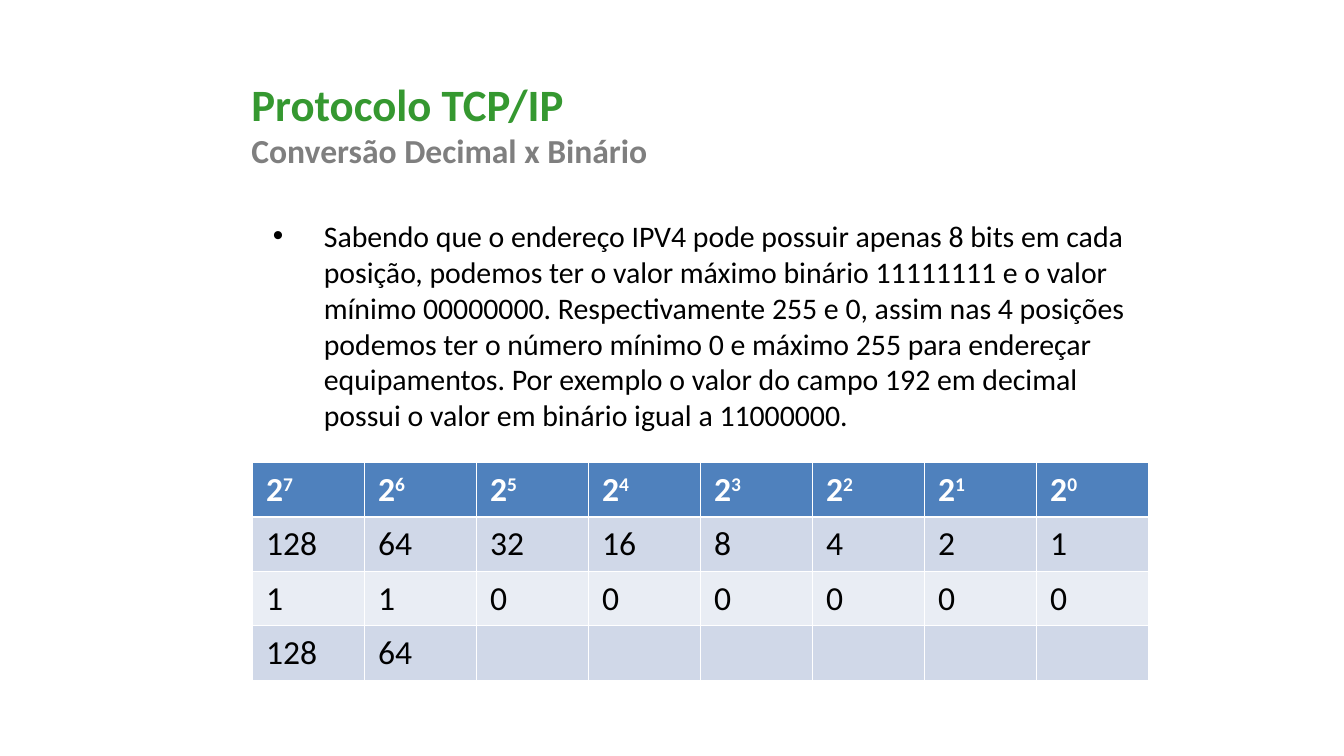
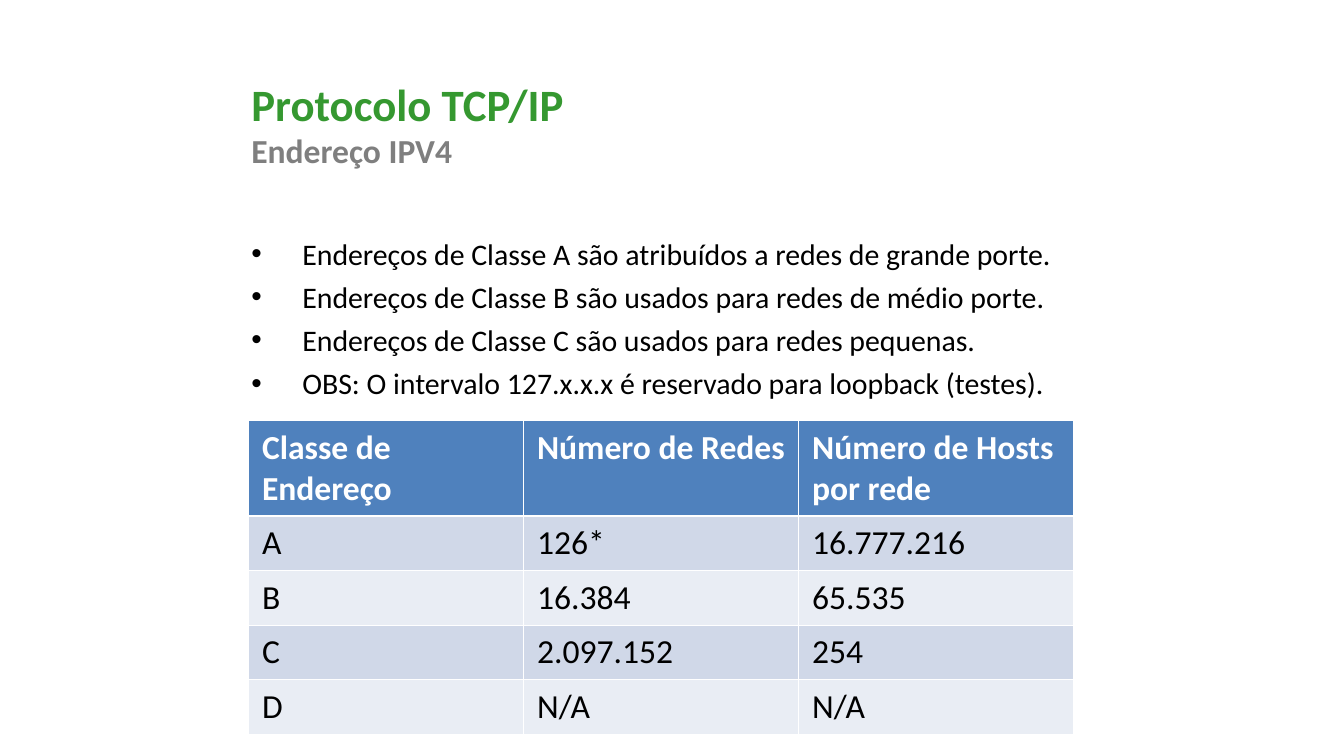
from pptx import Presentation
from pptx.dml.color import RGBColor
from pptx.enum.text import MSO_ANCHOR as Anchor, MSO_AUTO_SIZE as AutoSize, PP_ALIGN as Align
from pptx.oxml import parse_xml
from pptx.oxml.ns import nsdecls
from pptx.util import Inches, Pt

GREEN = RGBColor(0x35, 0x98, 0x30)
GRAY = RGBColor(0x7F, 0x7F, 0x7F)
BLACK = RGBColor(0x00, 0x00, 0x00)
WHITE = RGBColor(0xFF, 0xFF, 0xFF)
HEADER_BLUE = RGBColor(0x4F, 0x81, 0xBD)
BANDS = (RGBColor(0xE9, 0xED, 0xF4), RGBColor(0xD0, 0xD8, 0xE8))

FONT = "Calibri"
TITLE = {"size": Pt(24), "bold": True, "color": GREEN}
SUBTITLE = {"size": Pt(18), "bold": True, "color": GRAY}
BODY = {"size": Pt(16), "bold": False, "color": BLACK}
HEADER = {"size": Pt(18), "bold": True, "color": WHITE}
CELL = {"size": Pt(18), "bold": False, "color": BLACK}

PAGE_WIDTH = Inches(10)
PAGE_HEIGHT = PAGE_WIDTH * 9 // 16
TITLE_AREA = (1.77, 0.52, 7.73, 1.03)
INDENT = Inches(0.38)
ROW_HEIGHT = 1.62 / 4
THIN, THICK = Pt(0.45), Pt(1.47)


def add_span(para, text, style):
    """Append a formatted run to a paragraph and return it."""
    span = para.add_run()
    span.text = text
    span.font.name = FONT
    for name, value in style.items():
        if name == "color":
            span.font.color.rgb = value
        else:
            setattr(span.font, name, value)
    return span


def place(box, area):
    """Move a placeholder to an area in inches and anchor its text at the top."""
    for name, value in zip(("left", "top", "width", "height"), area):
        setattr(box, name, Inches(value))
    frame_format = {"word_wrap": True, "auto_size": AutoSize.NONE, "vertical_anchor": Anchor.TOP}
    for name, value in frame_format.items():
        setattr(box.text_frame, name, value)


def add_page(deck, subtitle):
    """Add a page with the shared two-line title."""
    page = deck.slides.add_slide(deck.slide_layouts[1])
    place(page.shapes.title, TITLE_AREA)
    para = page.shapes.title.text_frame.paragraphs[0]
    para.alignment = Align.LEFT
    add_span(para, "Protocolo TCP/IP", TITLE)
    para.add_line_break()
    add_span(para, subtitle, SUBTITLE)
    return page


def fill_bullets(page, area, items):
    """Write a bulleted list into the body placeholder."""
    box = page.placeholders[1]
    place(box, area)
    for index, item in enumerate(items):
        para = box.text_frame.add_paragraph() if index else box.text_frame.paragraphs[0]
        para.space_before = Pt(4)
        properties = para._p.get_or_add_pPr()
        properties.set("marL", str(INDENT))
        properties.set("indent", str(-INDENT))
        add_span(para, item, BODY)


def set_borders(cell, row):
    """Draw white cell borders, thicker between header and body."""
    widths = {
        "lnL": THIN,
        "lnR": THIN,
        "lnT": THICK if row == 1 else THIN,
        "lnB": THICK if row == 0 else THIN,
    }
    for side, width in widths.items():
        cell._tc.get_or_add_tcPr().append(parse_xml(
            f'<a:{side} {nsdecls("a")} w="{width}"><a:solidFill>'
            f'<a:srgbClr val="{WHITE}"/></a:solidFill></a:{side}>'
        ))


def fill_cell(cell, row, text):
    """Fill one cell; text after a caret is set as superscript."""
    set_borders(cell, row)
    cell.fill.solid()
    cell.fill.fore_color.rgb = BANDS[row % 2] if row else HEADER_BLUE
    style = CELL if row else HEADER
    base, _, exponent = text.partition("^")
    para = cell.text_frame.paragraphs[0]
    if base:
        add_span(para, base, style)
    if exponent:
        span = add_span(para, exponent, style)
        span._r.get_or_add_rPr().set("baseline", "30000")


def add_grid(page, left, top, width, rows, header_height=ROW_HEIGHT):
    """Add a banded table with equal columns."""
    heights = [header_height] + [ROW_HEIGHT] * (len(rows) - 1)
    frame = page.shapes.add_table(
        len(rows), len(rows[0]), Inches(left), Inches(top), Inches(width), Inches(sum(heights))
    )
    for row, (texts, height) in enumerate(zip(rows, heights)):
        frame.table.rows[row].height = Inches(height)
        for column, text in enumerate(texts):
            fill_cell(frame.table.cell(row, column), row, text)


def add_conversion_page(deck):
    """Show the decimal to binary conversion of 192."""
    page = add_page(deck, "Conversão Decimal x Binário")
    fill_bullets(page, (1.93, 1.57, 6.61, 3.92), [
        "Sabendo que o endereço IPV4 pode possuir apenas 8 bits em cada posição, "
        "podemos ter o valor máximo binário 11111111 e o valor mínimo 00000000. "
        "Respectivamente 255 e 0, assim nas 4 posições podemos ter o número mínimo 0 "
        "e máximo 255 para endereçar equipamentos. Por exemplo o valor do campo 192 "
        "em decimal possui o valor em binário igual a 11000000."
    ])
    powers = range(7, -1, -1)
    weights = [str(2 ** power) for power in powers]
    bits = format(192, "08b")
    add_grid(page, 1.88, 3.44, 6.67, [
        [f"2^{power}" for power in powers],
        weights,
        list(bits),
        [weight if bit == "1" else "" for weight, bit in zip(weights, bits)],
    ])


def add_classes_page(deck):
    """Show the IPV4 address classes."""
    page = add_page(deck, "Endereço IPV4")
    fill_bullets(page, (1.77, 1.7, 7.13, 3.63), [
        "Endereços de Classe A são atribuídos a redes de grande porte.",
        "Endereços de Classe B são usados para redes de médio porte.",
        "Endereços de Classe C são usados para redes pequenas.",
        "OBS: O intervalo 127.x.x.x é reservado para loopback (testes).",
    ])
    add_grid(page, 1.85, 3.13, 6.14, [
        ("Classe de Endereço", "Número de Redes", "Número de Hosts por rede"),
        ("A", "126*", "16.777.216"),
        ("B", "16.384", "65.535"),
        ("C", "2.097.152", "254"),
        ("D", "N/A", "N/A"),
    ], header_height=0.71)


def main():
    """Build and save the deck."""
    deck = Presentation()
    deck.slide_width, deck.slide_height = PAGE_WIDTH, PAGE_HEIGHT
    add_conversion_page(deck)
    add_classes_page(deck)
    deck.save("out.pptx")


if __name__ == "__main__":
    main()
